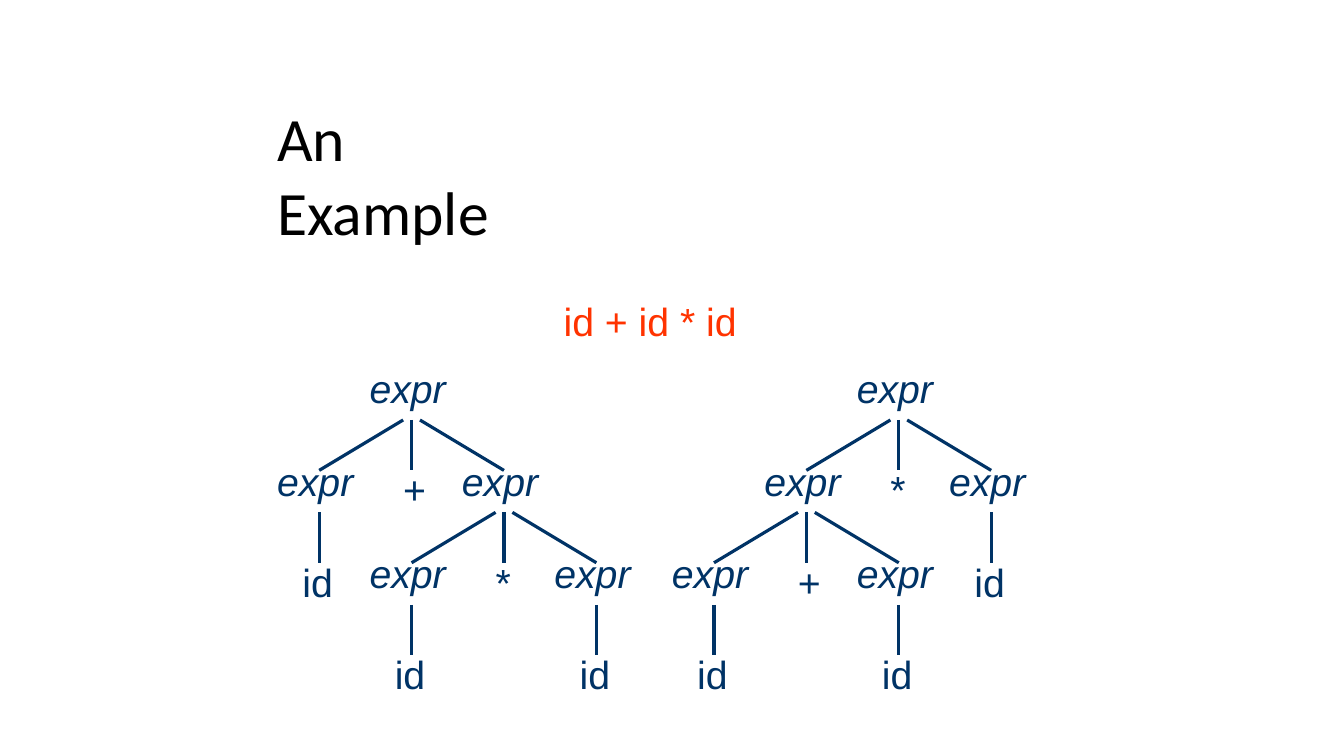
import pptx
import pptx.util
import pptx.dml.color
import pptx.enum.shapes
import pptx.enum.text
import pptx.oxml

RGB = pptx.dml.color.RGBColor
BLACK = RGB(0x00, 0x00, 0x00)
NAVY = RGB(0x00, 0x33, 0x66)
RED = RGB(0xFF, 0x33, 0x00)
WHITE = RGB(0xFF, 0xFF, 0xFF)

COLS, ROWS = 160, 90
WIDE, HIGH = pptx.util.Inches(13.33), pptx.util.Inches(7.5)
STEP = 11
SIZES = {"expr": (5, 9.5), "id": (2, 4), "+": (1, 3), "*": (1, 2.2)}

LEFT = ("expr", ("expr", "id"), "+",
        ("expr", ("expr", "id"), "*", ("expr", "id")))
RIGHT = ("expr", ("expr", ("expr", "id"), "+", ("expr", "id")),
         "*", ("expr", "id"))


def across(col):
    return round(WIDE * col / COLS)


def down(row):
    return round(HIGH * row / ROWS)


def place(shape, box):
    left, top, width, height = box
    shape.left, shape.top = across(left), down(top)
    shape.width, shape.height = across(width), down(height)


def write(shape, text, font="Arial", size=28, color=NAVY, slant=False,
          before=0.9, anchor=pptx.enum.text.MSO_ANCHOR.TOP):
    frame = shape.text_frame
    frame.word_wrap = True
    frame.auto_size = pptx.enum.text.MSO_AUTO_SIZE.SHAPE_TO_FIT_TEXT
    frame.vertical_anchor = anchor
    frame.margin_left = frame.margin_right = frame.margin_bottom = 0
    frame.margin_top = pptx.util.Inches(0.01)
    para = frame.paragraphs[0]
    para.alignment = pptx.enum.text.PP_ALIGN.LEFT
    para.space_before = pptx.util.Pt(before)
    run = para.add_run()
    run.text = text
    run.font.name = font
    run.font.size = pptx.util.Pt(size)
    run.font.italic = slant
    run.font.color.rgb = color


def label(slide, text, box, **style):
    shape = slide.shapes.add_textbox(0, 0, 0, 0)
    place(shape, box)
    write(shape, text, **style)


def edge(slide, start, end):
    line = slide.shapes.add_connector(
        pptx.enum.shapes.MSO_CONNECTOR.STRAIGHT,
        across(start[0]), down(start[1]), across(end[0]), down(end[1]))
    line.line.color.rgb = NAVY
    line.line.width = pptx.util.Pt(2.28)
    line._element.spPr.append(pptx.oxml.parse_xml(
        '<a:effectLst xmlns:a='
        '"http://schemas.openxmlformats.org/drawingml/2006/main"/>'))


def reach(node):
    return 1 + reach(node[1]) if len(node) == 4 else 0


def branch(slide, node, col, row):
    name, *kids = (node,) if isinstance(node, str) else node
    inner = name == "expr"
    shift, width = SIZES[name]
    top = row if inner else row + 1
    label(slide, name, (col - shift, top, width, 5.9), slant=inner)
    sides = (-1, 0, 1) if len(kids) == 3 else (0,)
    for side, kid in zip(sides, kids):
        spot = col + side * STEP
        edge(slide, (col + side, row + 6.7), (spot, row + 12.7))
        branch(slide, kid, spot, row + STEP)


def tree(slide, root, left, top):
    branch(slide, root, left + 5 + STEP * reach(root), top)


def title(slide, text, box):
    shape = slide.shapes.title
    place(shape, box)
    write(shape, text, font="Calibri", size=44, color=BLACK, before=1,
          anchor=pptx.enum.text.MSO_ANCHOR.MIDDLE)


def main():
    deck = pptx.Presentation()
    deck.slide_width, deck.slide_height = WIDE, HIGH
    slide = deck.slides.add_slide(deck.slide_layouts[5])
    slide.background.fill.solid()
    slide.background.fill.fore_color.rgb = WHITE
    title(slide, "An Example", (33, 16.1, 34.7, 9))
    label(slide, "id + id * id", (67.1, 35.3, 21, 5.9), color=RED)
    tree(slide, LEFT, 33, 43.3)
    tree(slide, RIGHT, 80, 43.3)
    deck.save("out.pptx")


if __name__ == "__main__":
    main()
